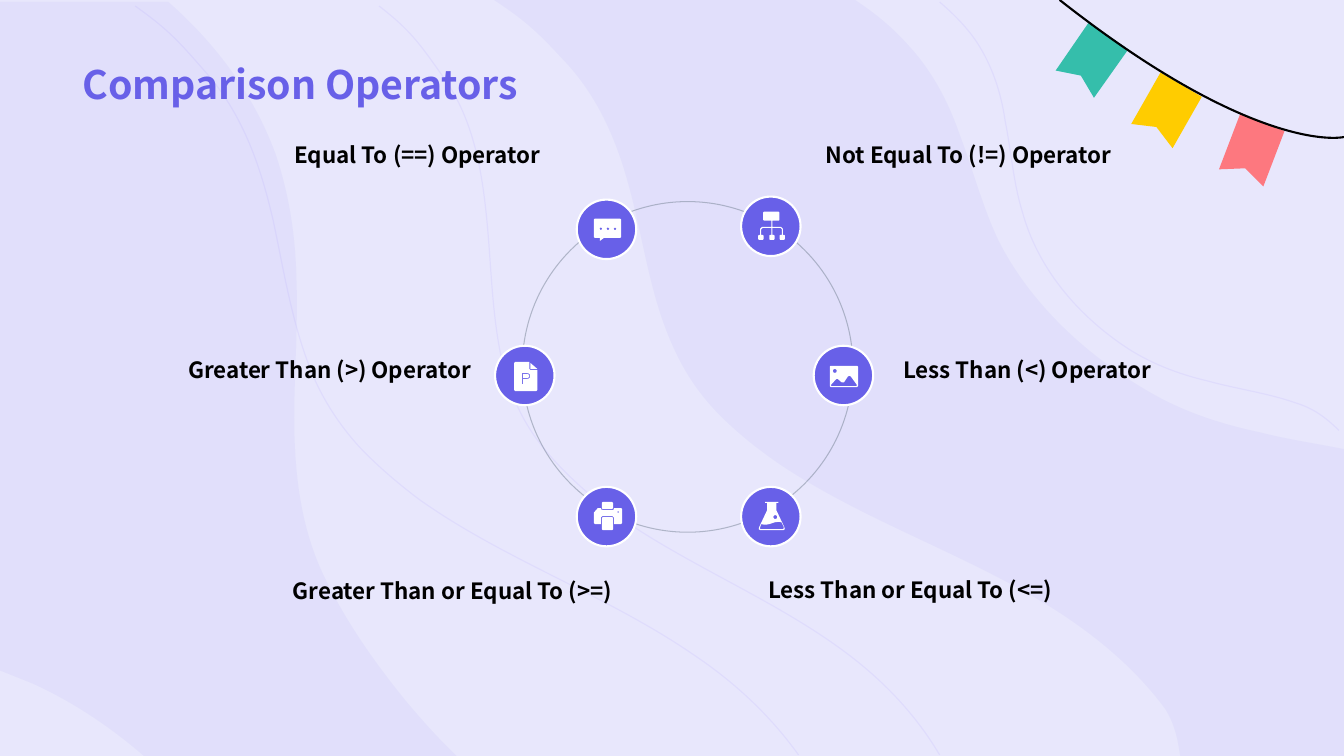
from lxml import etree
from pptx import Presentation
from pptx.dml.color import RGBColor
from pptx.enum.shapes import MSO_SHAPE
from pptx.enum.text import MSO_ANCHOR, MSO_AUTO_SIZE, PP_ALIGN
from pptx.oxml.ns import qn
from pptx.util import Inches, Pt

OVAL = MSO_SHAPE.OVAL
LEFT, RIGHT = PP_ALIGN.LEFT, PP_ALIGN.RIGHT
MIDDLE, BOTTOM = MSO_ANCHOR.MIDDLE, MSO_ANCHOR.BOTTOM
FIT_SHAPE = MSO_AUTO_SIZE.SHAPE_TO_FIT_TEXT
FONT = "Noto Sans CJK SC"
COLORS = {
    "background": "E8E7FC", "accent": "6860E8", "wave": "6353EF", "contour": "593CFC",
    "ring": "778495", "white": "FFFFFF", "black": "000000",
    "pink": "FD787F", "yellow": "FFCC00", "teal": "35BEAB",
}

# Outlines: a pair is a corner, six numbers are a Bezier curve to the last pair.
WAVES = [
    [(8.48, 0), (4.9, 0), (5.25, .23, 5.36, .35, 5.63, .64), (5.99, 1.04, 6.16, 1.52, 6.28, 2.01),
     (6.4, 2.5, 6.47, 3, 6.69, 3.47), (6.8, 3.71, 6.95, 3.93, 7.14, 4.12),
     (7.32, 4.3, 7.52, 4.46, 7.74, 4.61), (8.59, 5.18, 9.62, 5.51, 10.48, 6.06),
     (10.9, 6.33, 11.26, 6.64, 11.54, 7.01), (11.6, 7.09, 11.65, 7.21, 11.68, 7.35),
     (11.71, 7.52), (13.35, 7.52), (13.35, 4.46), (13.06, 4.4, 12.77, 4.36, 12.5, 4.29),
     (12.12, 4.21, 11.75, 4.09, 11.42, 3.9), (10.77, 3.53, 10.21, 3, 9.9, 2.38),
     (9.74, 2.04, 9.65, 1.68, 9.52, 1.34), (9.41, 1.02, 9.25, .71, 9.01, .45),
     (8.86, .28, 8.68, .13, 8.48, 0)],
    [(1.67, .02), (-.03, .02), (-.03, 6.64), (.02, 6.66), (.12, 6.7, .22, 6.74, .32, 6.78),
     (.74, 6.97, 1.12, 7.23, 1.45, 7.52), (4.55, 7.52), (4.35, 7.33, 4.19, 7.15, 4.03, 6.96),
     (3.72, 6.58, 3.44, 6.18, 3.23, 5.75), (3, 5.29, 2.93, 4.78, 2.92, 4.28),
     (2.91, 3.78, 2.96, 3.27, 2.94, 2.76), (2.93, 2.34, 2.87, 1.93, 2.73, 1.52),
     (2.52, .95, 2.15, .44, 1.67, .02)],
]
CONTOURS = [
    [(7.92, 7.49), (7.64, 7.1, 7.29, 6.77, 6.87, 6.49), (6.01, 5.9, 4.99, 5.55, 4.15, 4.95),
     (3.94, 4.79, 3.74, 4.62, 3.56, 4.43), (3.37, 4.22, 3.22, 3.99, 3.11, 3.74),
     (2.9, 3.24, 2.82, 2.71, 2.71, 2.19), (2.59, 1.67, 2.42, 1.16, 2.06, .74),
     (1.79, .43, 1.68, .3, 1.34, .06)],
    [(9.32, .02), (9.46, .14, 9.59, .27, 9.69, .42), (9.84, .65, 9.93, .92, 9.97, 1.2),
     (10.03, 1.5, 10.05, 1.81, 10.14, 2.1), (10.29, 2.65, 10.67, 3.11, 11.16, 3.44),
     (11.4, 3.6, 11.68, 3.71, 11.98, 3.78), (12.27, 3.86, 12.58, 3.9, 12.86, 4),
     (12.99, 4.04, 13.12, 4.11, 13.28, 4.27)],
    [(9.32, 7.49), (9.09, 7.1, 8.78, 6.77, 8.41, 6.49), (7.63, 5.9, 6.65, 5.55, 5.9, 4.95),
     (5.71, 4.79, 5.53, 4.62, 5.38, 4.43), (5.21, 4.22, 5.1, 3.99, 5.02, 3.74),
     (4.88, 3.24, 4.88, 2.71, 4.83, 2.19), (4.78, 1.67, 4.69, 1.16, 4.38, .74),
     (4.16, .43, 4.07, .3, 3.76, .06)],
]
# The bunting is measured from the left end of its string.
FLAGS = [
    ("pink", [(2.23, 1.3), (2.02, 1.85), (1.84, 1.67), (1.58, 1.68), (1.79, 1.13)]),
    ("yellow", [(1.41, .96), (1.12, 1.47), (.96, 1.26), (.71, 1.23), (1, .72)]),
    ("teal", [(.68, .49), (.34, .97), (.21, .75), (-.04, .7), (.29, .22)]),
]
STRING = [(2.82, 1.36), (2.6, 1.4, 1.7, 1.34, 0, 0)]


def dot(x, y, radius):
    """Outline of a small disc, made of two curves."""
    bulge = radius * 4 / 3
    return [(x - radius, y), (x - radius, y - bulge, x + radius, y - bulge, x + radius, y),
            (x + radius, y + bulge, x - radius, y + bulge, x - radius, y)]


def panel(left, top, right, bottom, cut=.8):
    """Outline of a rectangle with cut corners."""
    return [(left + cut, top), (right - cut, top), (right, top + cut), (right, bottom - cut),
            (right - cut, bottom), (left + cut, bottom), (left, bottom - cut), (left, top + cut)]


# Icon outlines are in hundredths of an inch from the middle of the badge.
DOCUMENT = [
    [(-9.5, -13.5), (4.5, -13.5), (4.5, -6.5), (5.5, -5.5), (12.5, -5.5), (12.5, 14.5),
     (11.5, 15.5), (-9.5, 15.5), (-10.5, 14.5), (-10.5, -12.5)],
    [(5.5, -6.5), (5.5, -12.5), (12.5, -6.5)],
    [(-2.5, -2.5), (2.5, -2.5), (6.5, -2.5, 6.5, 3.5, 2.5, 3.5), (-1.5, 3.5), (-1.5, 8.5),
     (-2.5, 8.5)],
    [(-1.5, -1.5), (2.5, -1.5), (5.2, -1.5, 5.2, 2.5, 2.5, 2.5), (-1.5, 2.5)],
]
PRINTER = [
    panel(-4.5, -14.5, 6.5, -7.5), panel(-4.5, .5, 6.5, 13.5), dot(11.5, -4.5, 1),
    [(-5.5, -8.5), (-5, -6.8), (-3.5, -6.5), (6, -6.5), (7.2, -7), (7.5, -8.5),
     (14.5, -8.5), (15.5, -7.5), (15.5, 6.5), (14.5, 7.5), (7.5, 7.5), (7.5, 1), (6, -.5),
     (-4, -.5), (-5.5, 1), (-5.5, 7.5), (-11.5, 7.5), (-12.5, 6.5), (-12.5, -4), (-8.5, -8.5)],
]
COMMENT = [panel(-12.5, -10.5, 14.5, 8.5), [(-6.5, 8.5), (-6.5, 11.5), (-2.5, 8.5)],
           *[dot(x, -.5, 1.5) for x in (-5.5, 1.5, 8.5)]]
NETWORK = [
    panel(-7.5, -14.5, 8.5, -5.5), *[panel(x, 8.5, x + 5.3, 13.5) for x in (-12.5, -1.5, 8.7)],
    [(.5, -5.5), (1.5, -5.5), (1.5, .5), (10, .5), (12, 2.5), (12, 8.5), (11, 8.5), (11, 3),
     (9.5, 1.5), (1.5, 1.5), (1.5, 8.5), (.5, 8.5), (.5, 1.5), (-8, 1.5), (-9.5, 3),
     (-9.5, 8.5), (-10.5, 8.5), (-10.5, 2.5), (-8.5, .5), (.5, .5)],
]
PICTURE = [
    panel(-13.5, -9.5, 14.5, 11.5), dot(-8.5, -4.5, 2),
    [(-12, 10.5), (-12.5, 9.5), (-7.5, 4), (-6.5, 3, -5.5, 3, -5, 4), (-1.5, 7), (.5, 7),
     (4.5, 1), (5.5, 0, 6.5, 0, 7.5, 1.2), (13.5, 9.5), (13, 10.5)],
]
FLASK = [
    [(-5.5, -14.5), (7.5, -14.5), (7.5, -13.5), (5.5, -13.5), (5.5, -6.5), (13.5, 10.5),
     (14, 12.5), (12.5, 13.5), (-10.5, 13.5), (-12, 12.5), (-11.5, 10.5), (-3.5, -6.5),
     (-3.5, -13.5), (-5.5, -13.5)],
    [(-9.5, 7.5), (-6, 8.5, -2, 8, 1.5, 6.5), (4, 5.2, 8, 5.2, 10.5, 5.5), (13, 10.5),
     (12.5, 12.5), (-10.5, 12.5), (-10.5, 10.5)],
    dot(4.5, .5, 2),
]
# Offset of each badge from the box of the ring.
BADGES = [(-.27, 1.43, DOCUMENT), (.54, 2.83, PRINTER), (.54, -.02, COMMENT),
          (2.17, -.05, NETWORK), (2.89, 1.43, PICTURE), (2.17, 2.83, FLASK)]
BADGE_SIZE = .59
LABELS = [
    ("Less Than (<) Operator", 8.86, 3.48, 4.22, LEFT),
    ("Less Than or Equal To (<=)", 7.52, 5.66, 5.56, LEFT),
    ("Not Equal To (!=) Operator", 8.09, 1.35, 5, LEFT),
    ("Greater Than (>) Operator", .18, 3.48, 4.59, RIGHT),
    ("Greater Than or Equal To (>=)", .18, 5.67, 5.99, RIGHT),
    ("Equal To (==) Operator", .18, 1.35, 5.28, RIGHT),
]


def rgb(name):
    return RGBColor.from_string(COLORS[name])


def paint(shape, fill=None, line=None, width=1.5, alpha=None):
    shape.shadow.inherit = False
    if fill:
        shape.fill.solid()
        shape.fill.fore_color.rgb = rgb(fill)
    else:
        shape.fill.background()
    if line:
        shape.line.color.rgb = rgb(line)
        shape.line.width = Pt(width)
    else:
        shape.line.fill.background()
    if alpha:
        for color in shape._element.spPr.iter(qn("a:srgbClr")):
            etree.SubElement(color, qn("a:alpha")).set("val", str(alpha * 1000))


def bend(shape, outlines):
    """Join the three line segments that stand for each curve into one Bezier."""
    segments = list(shape._element.iter(qn("a:lnTo")))
    for part in (part for outline in outlines for part in outline[1:]):
        count = len(part) // 2
        group, segments = segments[:count], segments[count:]
        if count == 3:
            group[0].tag = qn("a:cubicBezTo")
            for segment in group[1:]:
                group[0].append(segment[0])
                segment.getparent().remove(segment)


def add_outline(slide, outlines, left=0, top=0, unit=1, close=True, **style):
    builder = None
    for outline in outlines:
        points = [(Inches(left + part[i] * unit), Inches(top + part[i + 1] * unit))
                  for part in outline for i in range(0, len(part), 2)]
        if builder is None:
            builder = slide.shapes.build_freeform(*points[0])
        else:
            builder.move_to(*points[0])
        builder.add_line_segments(points[1:], close=close)
    shape = builder.convert_to_shape()
    bend(shape, outlines)
    paint(shape, **style)


def add_text(slide, text, left, top, width, height, size, color, anchor, align=LEFT):
    box = slide.shapes.add_textbox(Inches(left), Inches(top), Inches(width), Inches(height))
    frame = box.text_frame
    frame.word_wrap = True
    frame.vertical_anchor = anchor
    paragraph = frame.paragraphs[0]
    paragraph.alignment = align
    run = paragraph.add_run()
    run.text = text
    run.font.name, run.font.size, run.font.bold = FONT, Pt(size), True
    run.font.color.rgb = rgb(color)
    return frame


def add_backdrop(slide, left, top):
    for wave in WAVES:
        add_outline(slide, [wave], left, top, fill="wave", alpha=5)
    for contour in CONTOURS:
        add_outline(slide, [contour], left, top, close=False, line="contour", width=.85, alpha=5)


def add_bunting(slide, left, top):
    for color, flag in FLAGS:
        add_outline(slide, [flag], left, top, fill=color)
    add_outline(slide, [STRING], left, top, close=False, line="black")


def add_circle(slide, left, top, size, **style):
    shape = slide.shapes.add_shape(OVAL, Inches(left), Inches(top), Inches(size), Inches(size))
    paint(shape, **style)


def add_badge_ring(slide, left, top, size):
    add_circle(slide, left, top, size, line="ring", width=.75, alpha=50)
    middle = BADGE_SIZE / 2
    for x, y, icon in BADGES:
        add_circle(slide, left + x, top + y, BADGE_SIZE, fill="accent", line="white")
        add_outline(slide, icon, left + x + middle, top + y + middle, unit=.01, fill="white")


def add_labels(slide):
    for text, left, top, width, align in LABELS:
        frame = add_text(slide, text, left, top, width, .37, 16, "black", MIDDLE, align)
        frame.auto_size = FIT_SHAPE


def main():
    presentation = Presentation()
    presentation.slide_width, presentation.slide_height = Inches(13.33), Inches(7.5)
    slide = presentation.slides.add_slide(presentation.slide_layouts[6])
    slide.background.fill.solid()
    slide.background.fill.fore_color.rgb = rgb("background")
    add_backdrop(slide, 0, 0)
    add_bunting(slide, 10.51, 0)
    add_badge_ring(slide, 5.18, 2, 3.28)
    add_labels(slide)
    title = add_text(slide, "Comparison Operators", .72, 0, 11.88, 1.12, 28, "accent", BOTTOM)
    title.paragraphs[0].line_spacing = .9
    presentation.save("out.pptx")


if __name__ == "__main__":
    main()
